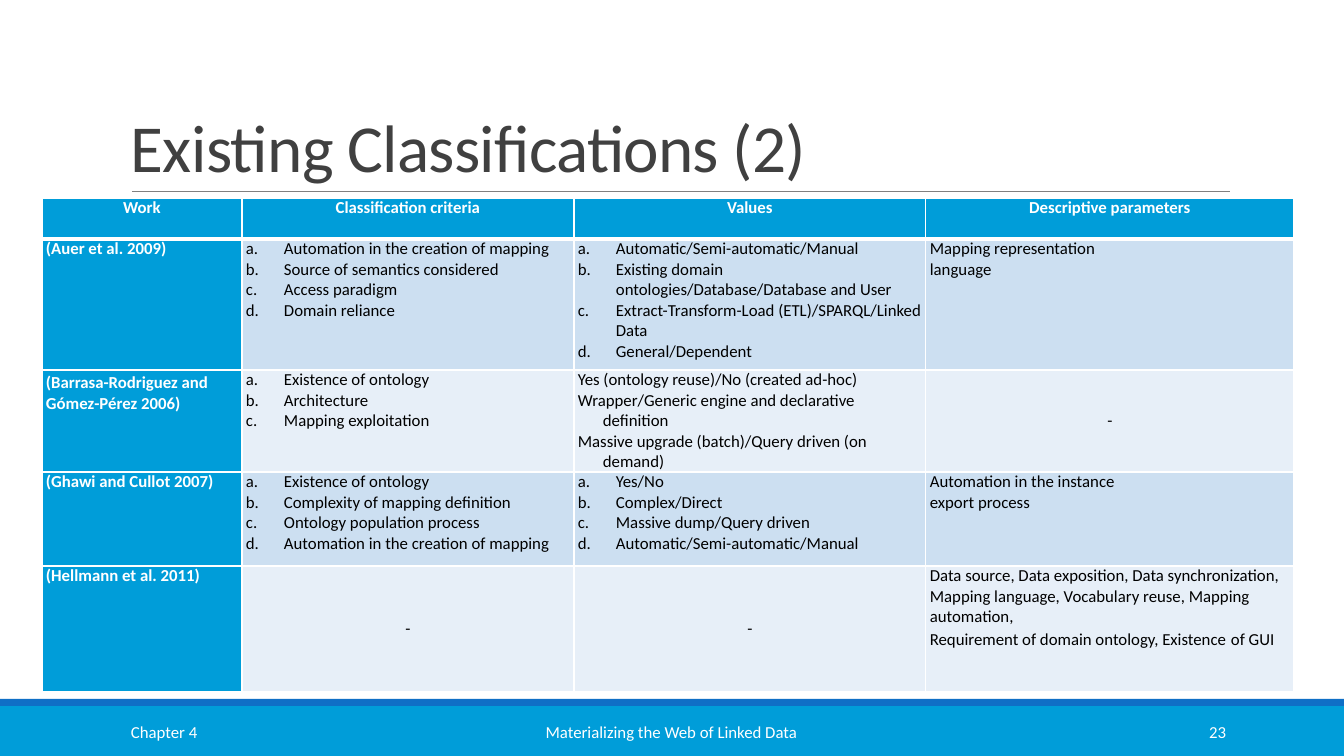
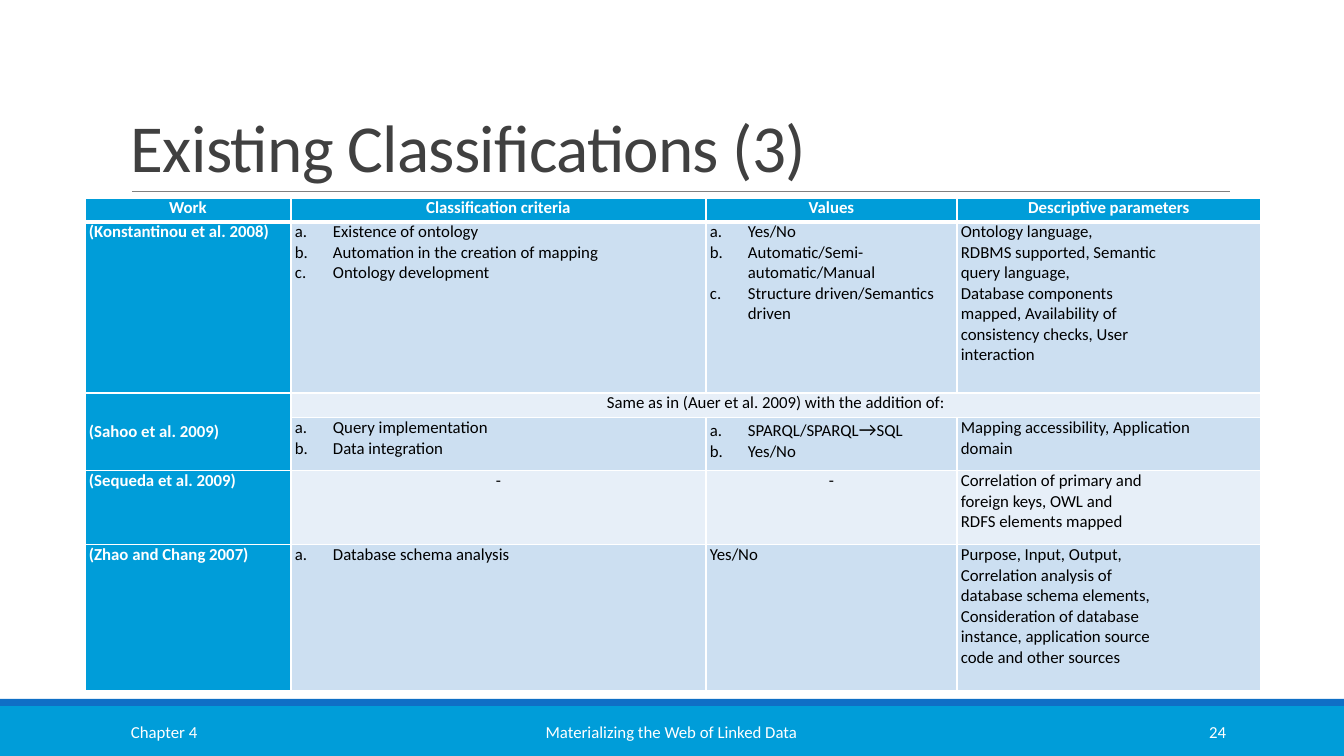
"""Build two slides of tables that compare existing classifications."""
from lxml.etree import SubElement
from pptx import Presentation
from pptx.dml.color import RGBColor as RGB
from pptx.enum.shapes import MSO_CONNECTOR as LINE, MSO_SHAPE as SHAPE
from pptx.enum.text import MSO_ANCHOR as ANCHOR, PP_ALIGN as ALIGN
from pptx.oxml.ns import qn
from pptx.util import Pt

PX = 914400 / 100.8
BLUE = RGB(0x00, 0x9D, 0xD9)
DEEP = RGB(0x0F, 0x6F, 0xC6)
DARK = RGB(0x40, 0x40, 0x40)
GRAY = RGB(0x80, 0x80, 0x80)
WHITE = RGB(0xFF, 0xFF, 0xFF)
BLACK = RGB(0x00, 0x00, 0x00)
BANDS = [RGB(0xE7, 0xEF, 0xF8), RGB(0xCC, 0xDF, 0xF1)]
HEAD = ["Work", "Classification criteria", "Values", "Descriptive parameters"]
INSET = {"margin_left": round(4 * PX), "margin_right": round(4 * PX),
         "margin_top": 0, "margin_bottom": 0}

# Tuples are lettered lists, lists are hanging lines, and bars enclose larger text.
TABLES = [
    {"title": "Existing Classifications (2)", "page": "23", "left": 42,
     "cols": [200, 332, 352, 368], "rows": [41, 131, 102, 94, 126],
     "dash": ANCHOR.MIDDLE, "spans": [], "body": [
         ["(Auer et al. 2009)",
          ("Automation in the creation of mapping", "Source of semantics considered",
           "Access paradigm", "Domain reliance"),
          ("Automatic/Semi-automatic/Manual",
           "Existing domain ontologies/Database/Database and User",
           "Extract-Transform-Load (ETL)/SPARQL/Linked Data", "General/Dependent"),
          "Mapping representation\nlanguage"],
         ["(Barrasa-Rodriguez and| |Gómez-Pérez 2006)",
          ("Existence of ontology", "Architecture", "Mapping exploitation"),
          ["Yes (ontology reuse)/No (created ad-hoc)",
           "Wrapper/Generic engine and declarative definition",
           "Massive upgrade (batch)/Query driven (on demand)"],
          "-"],
         ["(Ghawi and Cullot 2007)",
          ("Existence of ontology", "Complexity of mapping definition",
           "Ontology population process", "Automation in the creation of mapping"),
          ("Yes/No", "Complex/Direct", "Massive dump/Query driven",
           "Automatic/Semi-automatic/Manual"),
          "Automation in the instance\nexport process"],
         ["(Hellmann et al. 2011)", "-", "-",
          "Data source, Data exposition, Data synchronization, Mapping language, "
          "Vocabulary reuse, Mapping automation,\n"
          "Requirement of domain ontology, Existence| |of GUI"]]},
    {"title": "Existing Classifications (3)", "page": "24", "left": 85,
     "cols": [206, 415, 251, 304], "rows": [24, 171, 25, 53, 74, 146],
     "dash": ANCHOR.TOP, "spans": [(2, 0, 3, 0), (2, 1, 2, 3)], "body": [
         ["(Konstantinou et al. 2008)",
          ("Existence of ontology", "Automation in the creation of mapping",
           "Ontology development"),
          ("Yes/No", "Automatic/Semi-automatic/Manual",
           "Structure driven/Semantics driven"),
          "Ontology language,\nRDBMS supported, Semantic\nquery language,\n"
          "Database components\nmapped, Availability of\n"
          "consistency checks, User\ninteraction"],
         ["(Sahoo et al. 2009)",
          "Same as in (Auer et al. 2009) with the addition of:", "", ""],
         ["", ("Query implementation", "Data integration"),
          ("SPARQL/SPARQL|→|SQL", "Yes/No"),
          "Mapping accessibility, Application\ndomain"],
         ["(Sequeda et al. 2009)", "-", "-",
          "Correlation of primary and\nforeign keys, OWL and\nRDFS elements mapped"],
         ["(Zhao and Chang 2007)", ("Database schema analysis",), ["Yes/No"],
          "Purpose, Input, Output,\nCorrelation analysis of\n"
          "database schema elements,\nConsideration of database\n"
          "instance, application source\ncode and other sources"]]},
]


def apply(item, form):
    """Set each attribute named in the format on the item."""
    for key, value in form.items():
        setattr(item, key, value)


def write(para, line, color, form):
    """Add the runs of one line, with the parts between bars at 14 points."""
    for k, part in enumerate(line.split("|")):
        run = para.add_run()
        run.text = part
        apply(run.font, {"name": "Calibri", **form})
        if k % 2:
            run.font.size = Pt(14)
        run.font.color.rgb = color


deck = Presentation()
apply(deck, {"slide_width": round(1344 * PX), "slide_height": round(756 * PX)})

for data in TABLES:
    slide = deck.slides.add_slide(deck.slide_layouts[6])
    shapes = slide.shapes
    for top, high, color in [(706, 50, BLUE), (699, 7, DEEP)]:
        band = shapes.add_shape(SHAPE.RECTANGLE, 0, round(top * PX),
                                deck.slide_width, round(high * PX))
        band.shadow.inherit = False
        band.fill.solid()
        band.fill.fore_color.rgb = color
        band.line.fill.background()

    rule = shapes.add_connector(LINE.STRAIGHT, *[round(n * PX) for n in (132, 191, 1230, 191)])
    rule.line.color.rgb = GRAY
    rule.line.width = Pt(0.5)
    SubElement(rule._element.spPr, qn("a:effectLst"))

    for area, line, size, color, align, anchor, space, track in [
            ((121, 31, 1109, 160), data["title"], 48, DARK, ALIGN.LEFT, ANCHOR.BOTTOM, 0.85, -50),
            ((121, 712, 272, 40), "Chapter 4", 12, WHITE, ALIGN.LEFT, ANCHOR.MIDDLE, 1, 0),
            ((406, 712, 531, 40), "Materializing the Web of Linked Data", 12, WHITE,
             ALIGN.CENTER, ANCHOR.MIDDLE, 1, 0),
            ((1092, 712, 144, 40), data["page"], 12, WHITE, ALIGN.RIGHT, ANCHOR.MIDDLE, 1, 0)]:
        frame = shapes.add_textbox(*[round(n * PX) for n in area]).text_frame
        apply(frame, {"word_wrap": True, "vertical_anchor": anchor})
        para = frame.paragraphs[0]
        apply(para, {"alignment": align, "line_spacing": space})
        write(para, line, color, {"size": Pt(size)})
        para.runs[0]._r.get_or_add_rPr().set("spc", str(track))

    cols, rows = data["cols"], data["rows"]
    area = data["left"], 198, sum(cols), sum(rows)
    table = shapes.add_table(len(rows), len(cols), *[round(n * PX) for n in area]).table
    for col, wide in zip(table.columns, cols):
        col.width = round(wide * PX)
    for row, high in zip(table.rows, rows):
        row.height = round(high * PX)
    for top, left, low, right in data["spans"]:
        table.cell(top, left).merge(table.cell(low, right))

    for r, row in enumerate([HEAD] + data["body"]):
        for c, text in enumerate(row):
            cell = table.cell(r, c)
            apply(cell, INSET)
            prop = cell._tc.get_or_add_tcPr()
            for side in "LRTB":
                thick = (r, side) in [(0, "B"), (1, "T")]
                edge = SubElement(prop, qn("a:ln" + side), w=str(Pt(3 if thick else 1)))
                fill = SubElement(edge, qn("a:solidFill"))
                SubElement(fill, qn("a:srgbClr"), val=str(WHITE))
            key = r == 0 or c == 0
            cell.fill.solid()
            cell.fill.fore_color.rgb = BLUE if key else BANDS[r % 2]
            if cell.is_spanned:
                continue
            tall = cell.is_merge_origin and cell.span_height > 1
            broad = cell.is_merge_origin and cell.span_width > 1
            cell.vertical_anchor = (ANCHOR.MIDDLE if tall else
                                    data["dash"] if text == "-" else ANCHOR.TOP)
            lines = text.split("\n") if isinstance(text, str) else text
            for k, line in enumerate(lines):
                frame = cell.text_frame
                para = frame.add_paragraph() if k else frame.paragraphs[0]
                mid = r == 0 or broad or text == "-"
                para.alignment = ALIGN.CENTER if mid else ALIGN.LEFT
                if not isinstance(text, str):
                    hang = round((38 if isinstance(text, tuple) else 25) * PX)
                    form = para._p.get_or_add_pPr()
                    form.set("marL", str(hang))
                    form.set("indent", str(-hang))
                    if isinstance(text, tuple):
                        SubElement(form, qn("a:buAutoNum"), type="alphaLcPeriod")
                write(para, line, WHITE if key else BLACK, {"size": Pt(12), "bold": key})

deck.save("out.pptx")
